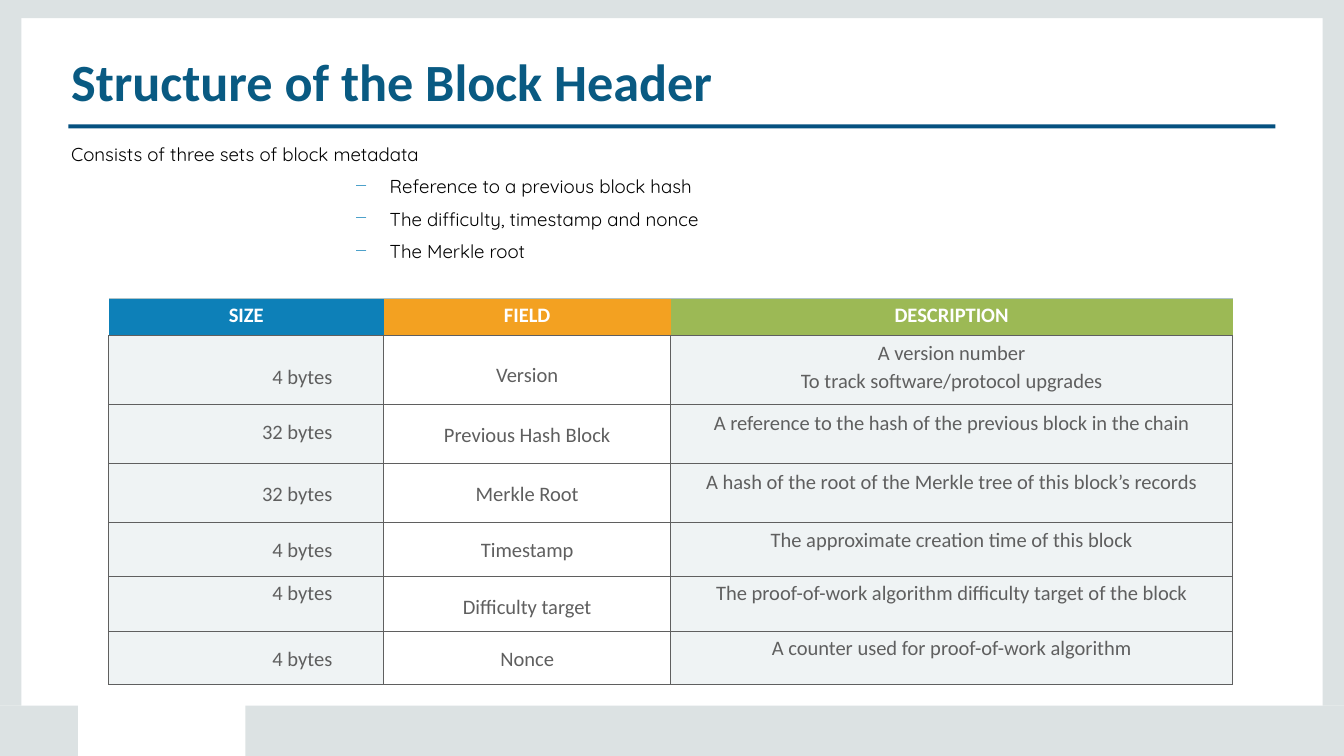
from lxml.etree import SubElement
from pptx import Presentation
from pptx.dml.color import RGBColor
from pptx.enum.shapes import MSO_SHAPE
from pptx.enum.text import MSO_ANCHOR, MSO_AUTO_SIZE, PP_ALIGN
from pptx.oxml.ns import qn
from pptx.util import Pt

WHITE = RGBColor(0xFF, 0xFF, 0xFF)
BLACK = RGBColor(0x00, 0x00, 0x00)
FRAME = RGBColor(0xDC, 0xE2, 0xE3)
NAVY = RGBColor(0x09, 0x5A, 0x82)
RULE = RGBColor(0x05, 0x51, 0x80)
BLUE = RGBColor(0x0D, 0x80, 0xB8)
ORANGE = RGBColor(0xF3, 0xA1, 0x21)
GREEN = RGBColor(0x9C, 0xB9, 0x55)
GREY = RGBColor(0x5F, 0x5F, 0x5F)
MIST = RGBColor(0xAF, 0xC3, 0xC7)
PALE = RGBColor(0xEF, 0xF3, 0xF4)

WIDTH, HEIGHT = 1440, 810
TOP, SIDE, FOOT = 19.4, 23, 756

POINTS = [
    "Reference to a previous block hash",
    "The difficulty, timestamp and nonce",
    "The Merkle root",
]
HEADS = [("SIZE", BLUE), ("FIELD", ORANGE), ("DESCRIPTION", GREEN)]
COLS = [294.5, 307.5, 602]
HEAD_HIGH = 39.6

# Row height, then the text and its top inset for each column.
ROWS = [
    (74.2, ("4 bytes", 32), ("Version", 30),
     ("A version number\nTo track software/protocol upgrades", 6.5)),
    (63.4, ("32 bytes", 17), ("Previous Hash Block", 20),
     ("A reference to the hash of the previous block in the chain", 6.5)),
    (63.4, ("32 bytes", 20), ("Merkle Root", 20),
     ("A hash of the root of the Merkle tree of this block’s records", 7)),
    (56.9, ("4 bytes", 16), ("Timestamp", 16),
     ("The approximate creation time of this block", 5)),
    (59.8, ("4 bytes", 5), ("Difficulty target", 20),
     ("The proof-of-work algorithm difficulty target of the block", 5)),
    (56.9, ("4 bytes", 16), ("Nonce", 16),
     ("A counter used for proof-of-work algorithm", 5)),
]


def write(par, text, size=22, font="Calibri", color=GREY, bold=False,
          align=PP_ALIGN.LEFT, lead=None):
    par.alignment = align
    if lead:
        par.line_spacing = lead
    run = par.add_run()
    run.text = text
    run.font.size = Pt(size)
    run.font.name = font
    run.font.bold = bold
    run.font.color.rgb = color


def inset(frame, left=0, top=0, right=0):
    """Set the margins of a text frame or a table cell."""
    frame.margin_left, frame.margin_top = Pt(left), Pt(top)
    frame.margin_right, frame.margin_bottom = Pt(right), Pt(0)
    frame.vertical_anchor = MSO_ANCHOR.TOP


def add_bar(slide, left, top, width, height, color):
    bar = slide.shapes.add_shape(
        MSO_SHAPE.RECTANGLE, Pt(left), Pt(top), Pt(width), Pt(height))
    bar.shadow.inherit = False
    bar.fill.solid()
    bar.fill.fore_color.rgb = color
    bar.line.fill.background()


def add_frame(slide):
    tall, low = FOOT - TOP, HEIGHT - FOOT
    add_bar(slide, WIDTH - SIDE, TOP, SIDE, tall, FRAME)
    add_bar(slide, 0, TOP, SIDE, tall, FRAME)
    add_bar(slide, 262.8, FOOT, WIDTH - 262.8, low, FRAME)
    add_bar(slide, 0, FOOT, 83.5, low, FRAME)
    add_bar(slide, 0, 0, WIDTH, TOP, FRAME)


def set_title(slide, text):
    title = slide.shapes.title
    title.left, title.top = Pt(74.2), Pt(51.1)
    title.width, title.height = Pt(867.6), Pt(69.8)
    frame = title.text_frame
    frame.word_wrap = True
    frame.auto_size = MSO_AUTO_SIZE.SHAPE_TO_FIT_TEXT
    inset(frame, left=2, top=2)
    write(frame.paragraphs[0], text, size=56, color=NAVY, bold=True)


def add_dash(par):
    """Give a paragraph a hanging dash bullet."""
    props = par._p.get_or_add_pPr()
    props.set("marL", str(Pt(343.4)))
    props.set("indent", str(Pt(-36)))
    color = SubElement(props, qn("a:buClr"))
    SubElement(color, qn("a:srgbClr"), val=str(BLUE))
    SubElement(props, qn("a:buSzPct"), val="54000")
    SubElement(props, qn("a:buChar"), char="—")


def add_list(slide, intro, points):
    box = slide.shapes.add_textbox(Pt(74.2), Pt(128.9), Pt(756), Pt(154.8))
    frame = box.text_frame
    frame.word_wrap = True
    frame.auto_size = MSO_AUTO_SIZE.SHAPE_TO_FIT_TEXT
    inset(frame, top=13.7)
    style = dict(size=20, font="Quicksand", color=BLACK, lead=1.44)
    first = frame.paragraphs[0]
    first._p.get_or_add_pPr().set("marL", str(Pt(2)))
    write(first, intro, **style)
    for point in points:
        par = frame.add_paragraph()
        add_dash(par)
        write(par, point, **style)


def set_edges(cell, left=GREY, right=GREY, top=GREY, bottom=GREY):
    """Draw the cell borders; None leaves a side open."""
    props = cell._tc.get_or_add_tcPr()
    for tag, color in zip(("lnL", "lnR", "lnT", "lnB"),
                          (left, right, top, bottom)):
        line = SubElement(props, qn("a:" + tag), w=str(Pt(1)))
        if color is None:
            SubElement(line, qn("a:noFill"))
        else:
            fill = SubElement(line, qn("a:solidFill"))
            SubElement(fill, qn("a:srgbClr"), val=str(color))


def fill_cell(cell, text, fill, top, right=0, edges=None, **style):
    inset(cell, top=top, right=right)
    set_edges(cell, **(edges or {}))
    if fill is None:
        cell.fill.background()
    else:
        cell.fill.solid()
        cell.fill.fore_color.rgb = fill
    frame = cell.text_frame
    for at, line in enumerate(text.split("\n")):
        par = frame.add_paragraph() if at else frame.paragraphs[0]
        if at:
            par.space_before = Pt(2.6)
        write(par, line, **style)


def add_grid(slide):
    highs = [HEAD_HIGH] + [row[0] for row in ROWS]
    table = slide.shapes.add_table(
        len(highs), len(COLS), Pt(116.6), Pt(319.7),
        Pt(sum(COLS)), Pt(sum(highs))).table
    table.first_row = table.horz_banding = False
    for col, width in zip(table.columns, COLS):
        col.width = Pt(width)
    for row, high in zip(table.rows, highs):
        row.height = Pt(high)

    open_sides = dict(left=None, right=None, top=MIST)
    for col, (text, color) in enumerate(HEADS):
        fill_cell(table.cell(0, col), text, color, 5, edges=open_sides,
                  color=WHITE, bold=True, align=PP_ALIGN.CENTER)

    fills = [PALE, None, PALE]
    rights = [55, 0, 0]
    aligns = [PP_ALIGN.RIGHT, PP_ALIGN.CENTER, PP_ALIGN.CENTER]
    for row, (_, *cells) in enumerate(ROWS, 1):
        for col, (text, top) in enumerate(cells):
            fill_cell(table.cell(row, col), text, fills[col], top,
                      right=rights[col], align=aligns[col])


def main():
    deck = Presentation()
    deck.slide_width, deck.slide_height = Pt(WIDTH), Pt(HEIGHT)
    slide = deck.slides.add_slide(deck.slide_layouts[5])
    add_frame(slide)
    add_bar(slide, 73.4, 133.2, 1293.2, 4.3, RULE)
    set_title(slide, "Structure of the Block Header")
    add_list(slide, "Consists of three sets of block metadata", POINTS)
    add_grid(slide)
    deck.save("out.pptx")


if __name__ == "__main__":
    main()
